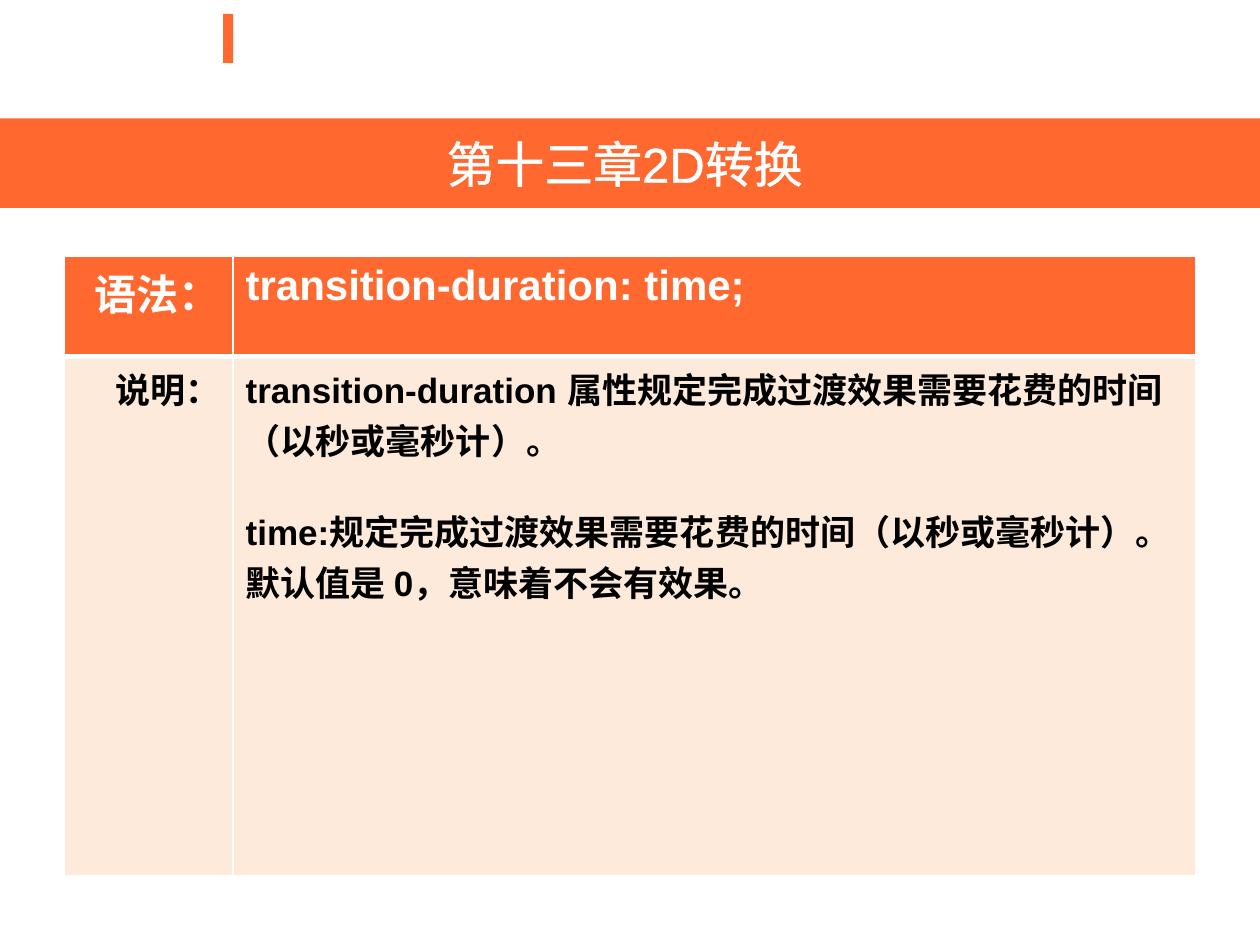
from lxml import etree
from pptx import Presentation
from pptx import util as u
from pptx.dml.color import RGBColor
from pptx.enum import shapes, text
from pptx.oxml.ns import qn

# Content
TITLE = "第十三章2D转换 "
ROWS = [
    ("语法：", ["transition-duration: time;"]),
    ("说明：", [
        "transition-duration 属性规定完成过渡效果需要花费的时间（以秒或毫秒计）。",
        "time:规定完成过渡效果需要花费的时间（以秒或毫秒计）。",
        "默认值是 0，意味着不会有效果。",
    ]),
]
GAP_BEFORE = {1: 23}  # paragraph index: points above it

# Format
ORANGE, PEACH, WHITE, BLACK = "FF682F", "FDEADA", "FFFFFF", "000000"
ROW_STYLES = [
    dict(fill=ORANGE, color=WHITE, font=dict(size=u.Pt(24), name="Arial", bold=True),
         borders=dict(lnL=1, lnR=1, lnT=1, lnB=3)),
    dict(fill=PEACH, color=BLACK, font=dict(size=u.Pt(20), name="Arial", bold=True),
         borders=dict(lnL=1, lnR=1, lnT=3, lnB=1)),
]
TITLE_FONT = dict(size=u.Pt(28), name="Arial", bold=False)
COLS, HEIGHTS = (1.34, 7.64), (0.8, 4.12)
LEFT, TOP = 0.51, 2.03


def rgb(value):
    return RGBColor.from_string(value)


def paint(sp, color):
    sp.fill.solid()
    sp.fill.fore_color.rgb = rgb(color)
    sp.line.fill.background()


def style(font, color, values):
    for key, value in values.items():
        setattr(font, key, value)
    font.color.rgb = rgb(color)


def add_line(parent, tag, color, points, index):
    ln = etree.Element(qn("a:" + tag), w=str(u.Pt(points)))
    fill = etree.SubElement(ln, qn("a:solidFill"))
    etree.SubElement(fill, qn("a:srgbClr"), val=color)
    parent.insert(index, ln)


def fill_cell(cell, lines, look, align):
    cell.fill.solid()
    cell.fill.fore_color.rgb = rgb(look["fill"])
    for i, (tag, points) in enumerate(look["borders"].items()):
        add_line(cell._tc.get_or_add_tcPr(), tag, WHITE, points, i)
    tf = cell.text_frame
    for i, line in enumerate(lines):
        p = tf.paragraphs[0] if i == 0 else tf.add_paragraph()
        p.alignment = align
        if i in GAP_BEFORE:
            p.space_before = u.Pt(GAP_BEFORE[i])
        r = p.add_run()
        r.text = line
        style(r.font, look["color"], look["font"])


prs = Presentation()
prs.slide_width, prs.slide_height = u.Inches(10), u.Inches(7.5)
s = prs.slides.add_slide(prs.slide_layouts[5])

# Accent mark at the top
sp = s.shapes.add_shape(shapes.MSO_SHAPE.RECTANGLE,
                        *map(u.Inches, (1.77, 0.11, 0.08, 0.39)))
sp.shadow.inherit = False
paint(sp, ORANGE)

# Title band
title = s.shapes.title
title.left, title.top, title.width, title.height = map(u.Inches, (0, 0.94, 10, 0.71))
paint(title, ORANGE)
tf = title.text_frame
tf.vertical_anchor = text.MSO_ANCHOR.MIDDLE
p = tf.paragraphs[0]
p.alignment = text.PP_ALIGN.CENTER
r = p.add_run()
r.text = TITLE
style(r.font, WHITE, TITLE_FONT)
add_line(r._r.get_or_add_rPr(), "ln", WHITE, 1.45, 0)

# Syntax table
table = s.shapes.add_table(len(HEIGHTS), len(COLS), *map(
    u.Inches, (LEFT, TOP, sum(COLS), sum(HEIGHTS)))).table
for col, width in zip(table.columns, COLS):
    col.width = u.Inches(width)
for row, height, (label, lines), look in zip(table.rows, HEIGHTS, ROWS, ROW_STYLES):
    row.height = u.Inches(height)
    fill_cell(row.cells[0], [label], look, text.PP_ALIGN.RIGHT)
    fill_cell(row.cells[1], lines, look, text.PP_ALIGN.LEFT)

prs.save("out.pptx")
